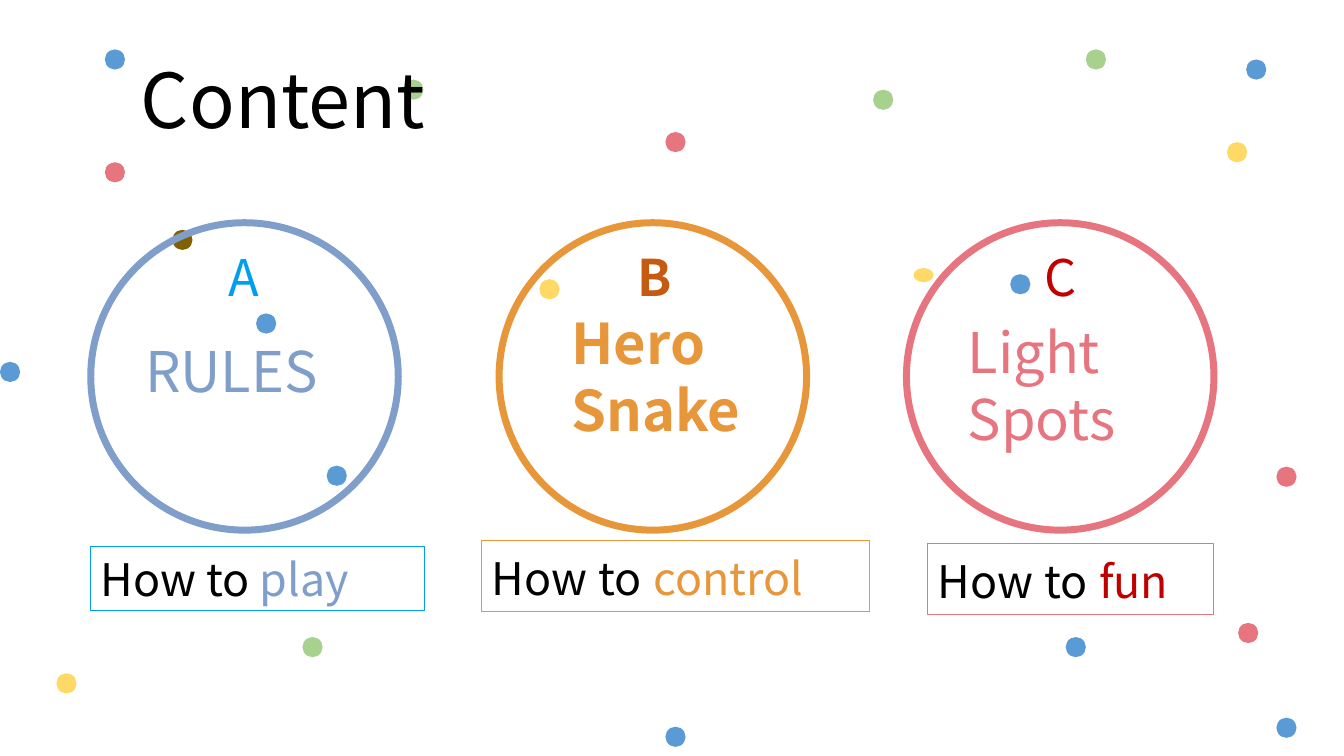
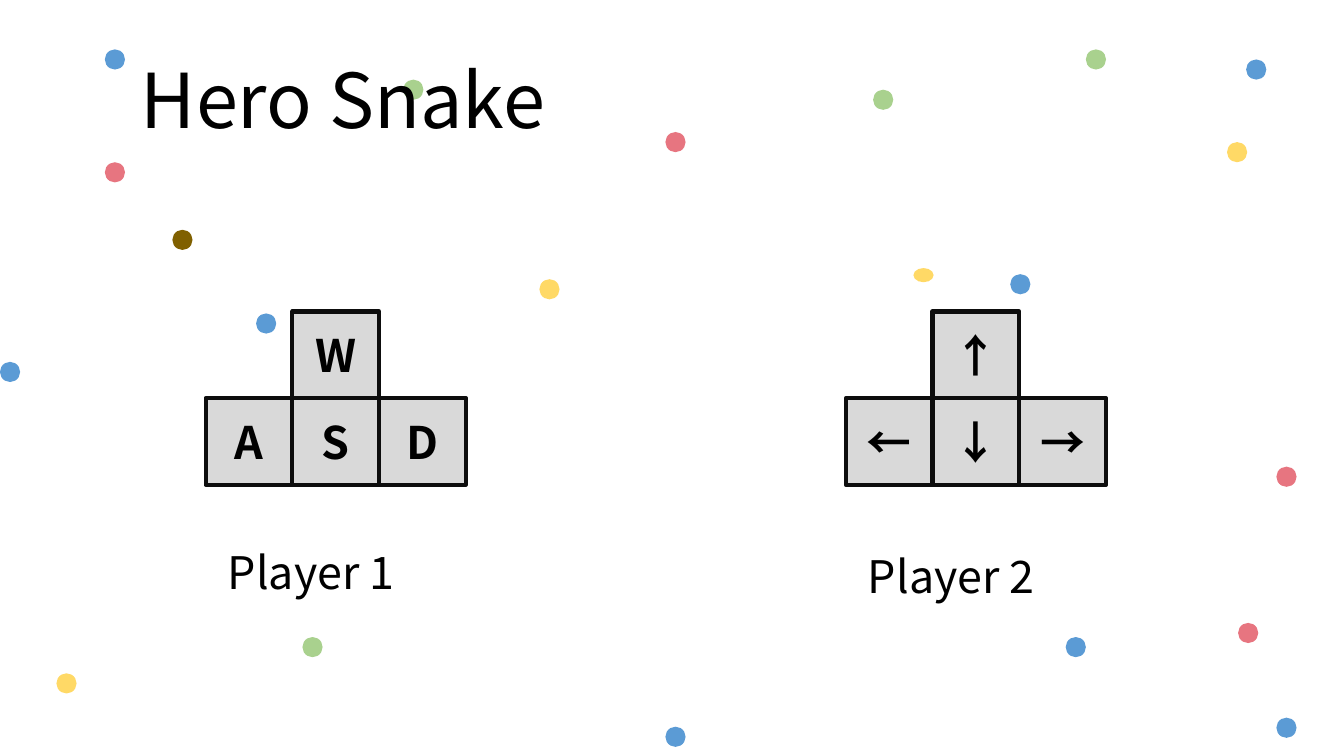
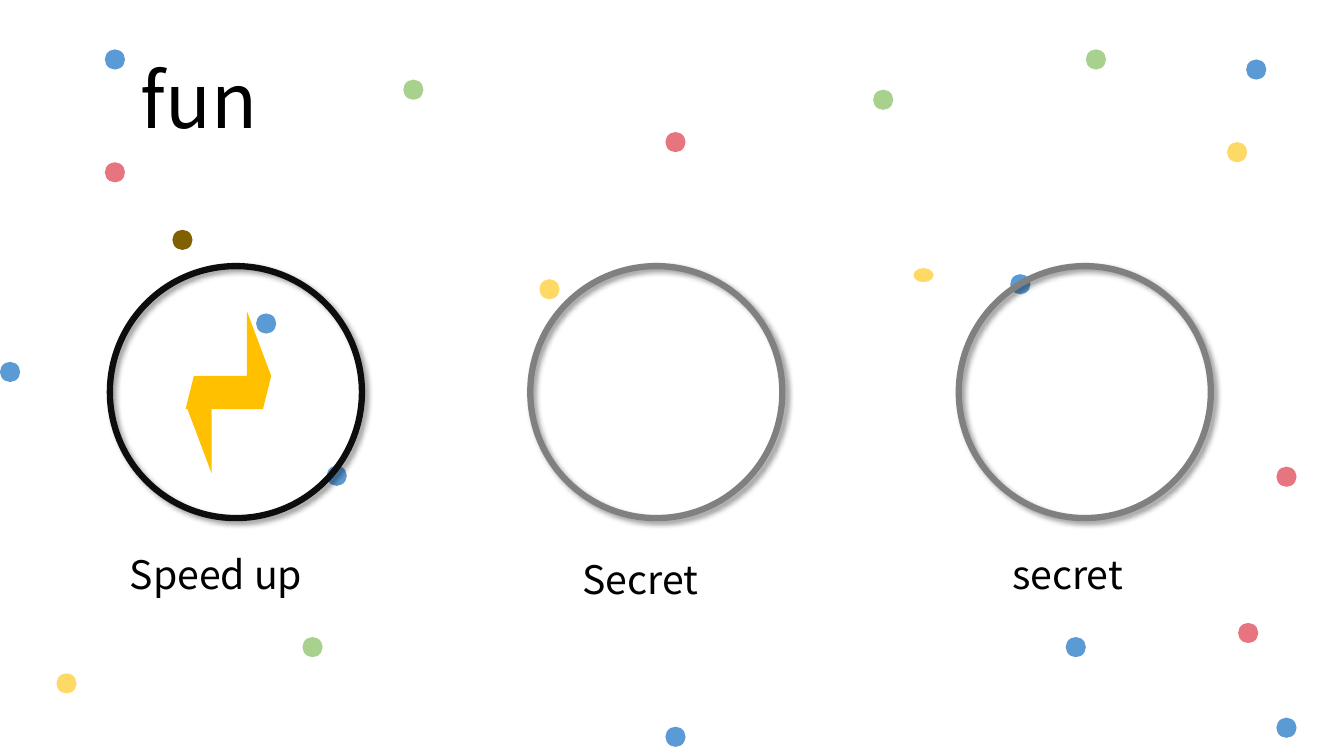
from dataclasses import dataclass

from lxml.etree import SubElement
from pptx import Presentation
from pptx.dml.color import RGBColor
from pptx.enum.shapes import MSO_SHAPE
from pptx.enum.text import MSO_ANCHOR, MSO_AUTO_SIZE, PP_ALIGN
from pptx.oxml.ns import qn
from pptx.util import Inches, Pt


@dataclass(frozen=True)
class Theme:
    font: str = "Noto Sans CJK JP"
    bold: str = "Noto Sans CJK SC"
    black: str = "000000"
    ink: str = "0D0D0D"
    grey: str = "808080"
    key: str = "D9D9D9"
    blue: str = "5B9BD5"
    rose: str = "E77580"
    green: str = "A9D18E"
    sun: str = "FFD966"
    brown: str = "806000"
    sky: str = "009FEE"
    steel: str = "7F9ECA"
    amber: str = "E79639"
    rust: str = "C55A11"
    red: str = "C00000"
    bolt: str = "FFC000"
    title: int = 54
    name: int = 40
    mark: int = 36
    label: int = 32
    note: int = 28


T = Theme()
DOT = 0.2
DOTS = {
    T.blue: [(1.04, 0.49), (12.66, 7.12), (0, 3.59), (12.36, 0.59),
             (3.24, 4.62), (10.02, 2.72), (2.54, 3.11), (10.57, 6.32),
             (6.6, 7.21)],
    T.rose: [(1.04, 1.61), (6.6, 1.31), (12.28, 6.18), (12.66, 4.63)],
    T.green: [(3, 6.32), (4, 0.79), (10.77, 0.49), (8.66, 0.89)],
    T.sun: [(0.56, 6.68), (12.17, 1.41), (5.35, 2.77)],
    T.brown: [(1.71, 2.28)],
}


def tint(text):
    return RGBColor.from_string(text)


def place(slide, kind, box, fill=None, line=None, width=1):
    shape = slide.shapes.add_shape(kind, *map(Inches, box))
    shape.shadow.inherit = False
    if fill:
        shape.fill.solid()
        shape.fill.fore_color.rgb = tint(fill)
    else:
        shape.fill.background()
    if line:
        shape.line.color.rgb = tint(line)
        shape.line.width = Pt(width)
    else:
        shape.line.fill.background()
    return shape


def add_run(para, text, size, color=T.black, bold=False, font=T.font):
    run = para.add_run()
    run.text = text
    run.font.size = Pt(size)
    run.font.bold = bold
    run.font.color.rgb = tint(color)
    run.font.name = font
    SubElement(run.font._rPr, qn("a:ea"), typeface=font)


def write(shape, lines):
    frame = shape.text_frame
    frame.word_wrap = True
    frame.auto_size = MSO_AUTO_SIZE.SHAPE_TO_FIT_TEXT
    frame.vertical_anchor = MSO_ANCHOR.TOP
    for i, runs in enumerate(lines):
        para = frame.add_paragraph() if i else frame.paragraphs[0]
        para.alignment = PP_ALIGN.LEFT
        for run in runs:
            add_run(para, *run)


def add_text(slide, box, *lines):
    write(slide.shapes.add_textbox(*map(Inches, box)), lines)


def add_title(slide, text, width=4.83):
    add_text(slide, (1.3, 0.48, width, 1.01), [(text, T.title)])


def cast(shape):
    glow = shape._element.spPr.find(qn("a:effectLst"))
    drop = SubElement(glow, qn("a:outerShdw"), blurRad=str(Pt(4)),
                      dist=str(Pt(3)), dir="2700000", algn="tl",
                      rotWithShape="0")
    shade = SubElement(drop, qn("a:srgbClr"), val=T.black)
    SubElement(shade, qn("a:alpha"), val="40000")


def add_dots(slide, layout):
    for hold in list(layout.placeholders):
        hold._element.getparent().remove(hold._element)
    dots = [place(slide, MSO_SHAPE.OVAL, (x, y, DOT, DOT), color)
            for color, spots in DOTS.items() for x, y in spots]
    dots.append(place(slide, MSO_SHAPE.OVAL, (9.06, 2.66, DOT, 0.14), T.sun))
    for dot in dots:
        layout.shapes._spTree.append(dot._element)


def add_card(slide, x, y, color, mark, names, name_box, foot, bold=False):
    size = 3.05
    place(slide, MSO_SHAPE.OVAL, (x, y, size, size), line=color, width=5)
    letter, shade = mark
    add_text(slide, (x + 1.27, y + 0.18, 0.51, 0.71),
             [(letter, T.mark, shade, bold)])
    dx, dy, wide, high = name_box
    add_text(slide, (x + dx, y + dy, wide, high),
             *[[(name, T.name, color, bold)] for name in names])
    (dx, dy, wide, high), edge, runs = foot
    frame = place(slide, MSO_SHAPE.RECTANGLE, (x + dx, y + dy, wide, high),
                  line=edge, width=0.75)
    write(frame, [runs])


def how_to(word, color):
    gap = (" ", T.mark, T.black, False, T.bold)
    return [("How", T.label), gap, ("to", T.label), gap,
            (word, T.label, color)]


def content(slide):
    add_title(slide, "Content")
    y = 2.21
    add_card(slide, 0.9, y, T.steel, ("A", T.sky), ["RULES"],
             (0.44, 1.08, 2.43, 0.77),
             ((0, 3.21, 3.31, 0.64), T.sky,
              [("How to ", T.label), ("play", T.label, T.steel)]))
    add_card(slide, 4.95, y, T.amber, ("B", T.rust), ["Hero Snake"],
             (0.62, 0.8, 2.43, 1.45),
             ((-0.17, 3.15, 3.84, 0.71), T.amber,
              how_to("control", T.amber)), True)
    add_card(slide, 8.99, y, T.rose, ("C", T.red), ["Light", "Spots"],
             (0.51, 0.89, 2.24, 1.45),
             ((0.21, 3.18, 2.84, 0.71), T.rose, how_to("fun", T.red)))


def add_pad(slide, x, y, keys, label, drop):
    size = 0.86
    for text, (col, row) in zip(keys, [(1, 0), (1, 1), (2, 1), (0, 1)]):
        key = place(slide, MSO_SHAPE.RECTANGLE,
                    (x + col * size, y + row * size, size, size),
                    T.key, T.ink, 3)
        key.text_frame.vertical_anchor = MSO_ANCHOR.MIDDLE
        para = key.text_frame.paragraphs[0]
        para.alignment = PP_ALIGN.CENTER
        add_run(para, text, T.label, T.black, True, T.bold)
    add_text(slide, (x + 0.12, y + drop, 2.35, 0.64), [(label, T.label)])


def snake(slide):
    add_title(slide, "Hero Snake")
    add_pad(slide, 2.04, 3.09, "WSDA", "Player 1", 2.26)
    add_pad(slide, 8.39, 3.09, "↑↓→←", "Player 2", 2.3)


def add_ring(slide, x, y, color, label, box):
    size = 2.5
    cast(place(slide, MSO_SHAPE.OVAL, (x, y, size, size), None, color, 4.5))
    dx, dy, wide = box
    add_text(slide, (x + dx, y + dy, wide, 0.57), [(label, T.note)])


def add_bolt(slide, x, y):
    wide, high, bar = 0.24, 0.64, 0.33
    top = place(slide, MSO_SHAPE.ISOSCELES_TRIANGLE,
                (x + 0.61, y, wide, high), T.bolt)
    place(slide, MSO_SHAPE.PARALLELOGRAM, (x, y + high, 0.85, bar), T.bolt)
    low = place(slide, MSO_SHAPE.ISOSCELES_TRIANGLE,
                (x + 0.02, y + high + bar, wide, high), T.bolt)
    low.rotation = 180
    for tip in (top, low):
        tip.adjustments[0] = 0


def fun(slide):
    add_title(slide, "fun", 1.94)
    y = 2.64
    add_ring(slide, 1.09, y, T.ink, "Speed up", (0.1, 2.77, 2.29))
    add_ring(slide, 5.26, y, T.grey, "Secret", (0.42, 2.82, 1.66))
    add_ring(slide, 9.51, y, T.grey, "secret", (0.43, 2.77, 1.62))
    add_bolt(slide, 1.84, 3.09)


def main():
    deck = Presentation()
    deck.slide_width, deck.slide_height = Inches(13.33), Inches(7.5)
    blank = deck.slide_layouts[6]
    for i, draw in enumerate((content, snake, fun)):
        slide = deck.slides.add_slide(blank)
        if i == 0:
            add_dots(slide, blank)
        draw(slide)
    deck.save("out.pptx")


if __name__ == "__main__":
    main()
